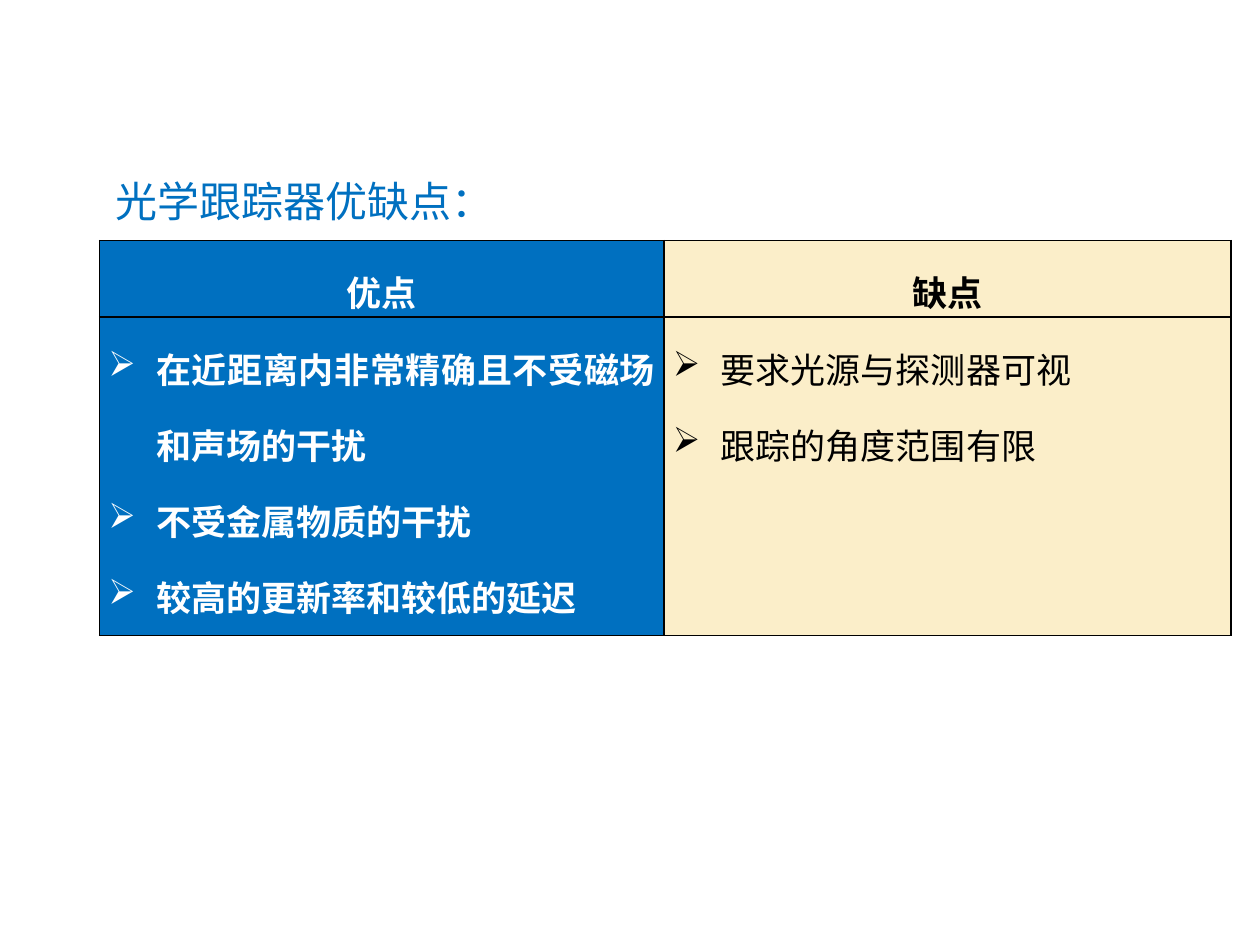
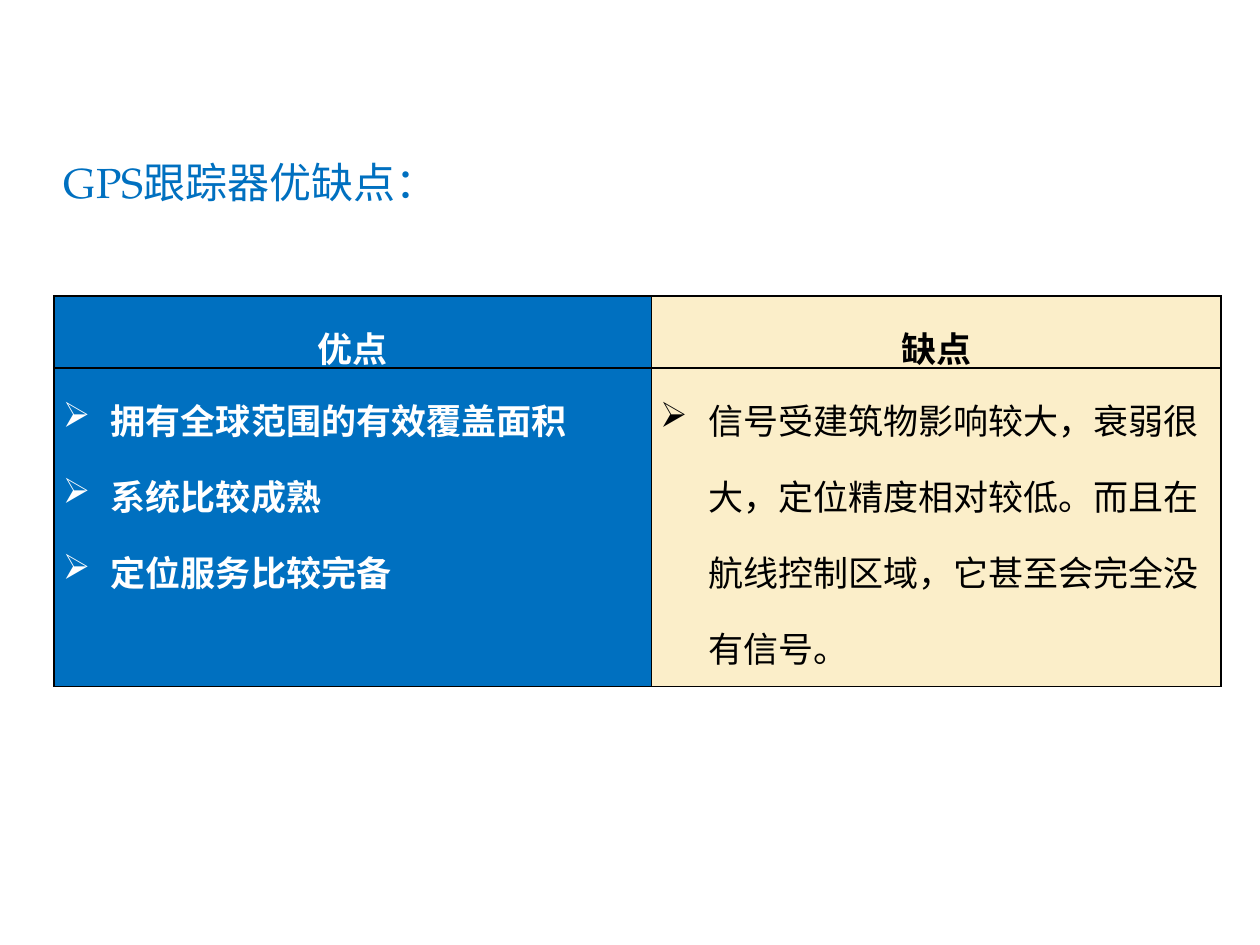
import pptx
import pptx.util
import pptx.dml.color
import pptx.enum.text
import pptx.oxml
from lxml import etree

Inches, Pt = pptx.util.Inches, pptx.util.Pt
ALIGN = pptx.enum.text.PP_ALIGN
NS = "http://schemas.openxmlformats.org/drawingml/2006/main"

# Content: title and table places, column widths, last column's alignment
HEADS = ["优点", "缺点"]
SLIDES = [
    {"title": "光学跟踪器优缺点：", "spot": (0.82, 1.34),
     "table": (0.79, 1.91), "cols": (4.48, 4.5),
     "aligns": (ALIGN.JUSTIFY, ALIGN.JUSTIFY),
     "lists": [["在近距离内非常精确且不受磁场和声场的干扰",
                "不受金属物质的干扰",
                "较高的更新率和较低的延迟"],
               ["要求光源与探测器可视",
                "跟踪的角度范围有限"]]},
    {"title": "GPS跟踪器优缺点：", "spot": (0.41, 1.19),
     "table": (0.43, 2.35), "cols": (4.74, 4.52),
     "aligns": (ALIGN.JUSTIFY, None),
     "lists": [["拥有全球范围的有效覆盖面积",
                "系统比较成熟",
                "定位服务比较完备"],
               ["信号受建筑物影响较大，衰弱很大，定位精度相对较低。"
                "而且在航线控制区域，它甚至会完全没有信号。"]]},
]

# Shared look
ROWS = (0.57, 2.53)
FILLS = ("0070C0", "FBEEC9")
INKS = ("FFFFFF", "000000")
FACE = "TeX Gyre Pagella"
TITLE = {"size": Pt(24), "name": FACE}
HEAD = {"size": Pt(20), "name": FACE, "bold": True}
BODIES = (HEAD, {**HEAD, "bold": False})
INSET = {"margin_left": Inches(0.07), "margin_right": Inches(0.07),
         "margin_top": 0, "margin_bottom": 0}


def color(code):
    return pptx.dml.color.RGBColor.from_string(code)


def apply(item, values):
    for key, value in values.items():
        setattr(item, key, value)


def write(para, text, style, ink):
    run = para.add_run()
    run.text = text
    apply(run.font, style)
    run.font.color.rgb = color(ink)


def bullet(para):
    props = para._p.get_or_add_pPr()
    props.set("marL", str(Inches(0.38)))
    props.set("indent", str(-Inches(0.38)))
    etree.SubElement(props, f"{{{NS}}}buChar").set("char", "➢")


def border(cell):
    props = cell._tc.get_or_add_tcPr()
    for side in ("lnL", "lnR", "lnT", "lnB"):
        props.append(pptx.oxml.parse_xml(
            f'<a:{side} xmlns:a="{NS}" w="{Pt(1)}"><a:solidFill>'
            f'<a:srgbClr val="000000"/></a:solidFill></a:{side}>'))


def fill_cell(cell, lines, col, style, align, marked):
    apply(cell, INSET)
    border(cell)
    cell.fill.solid()
    cell.fill.fore_color.rgb = color(FILLS[col])
    frame = cell.text_frame
    for i, line in enumerate(lines):
        para = frame.add_paragraph() if i else frame.paragraphs[0]
        apply(para, {"alignment": align, "line_spacing": 1.5})
        if marked:
            bullet(para)
        write(para, line, style, INKS[col])


def add_table(slide, data):
    size = (sum(data["cols"]), sum(ROWS))
    table = slide.shapes.add_table(
        2, 2, *map(Inches, data["table"] + size)).table
    for row, high in zip(table.rows, ROWS):
        row.height = Inches(high)
    for col, wide in enumerate(data["cols"]):
        table.columns[col].width = Inches(wide)
        fill_cell(table.cell(0, col), [HEADS[col]], col,
                  HEAD, ALIGN.CENTER, False)
        fill_cell(table.cell(1, col), data["lists"][col], col,
                  BODIES[col], data["aligns"][col], True)


def add_title(slide, data):
    box = slide.shapes.add_textbox(*map(Inches, data["spot"] + (3.23, 0.5)))
    apply(box.text_frame, {
        "word_wrap": False,
        "auto_size": pptx.enum.text.MSO_AUTO_SIZE.SHAPE_TO_FIT_TEXT})
    write(box.text_frame.paragraphs[0], data["title"], TITLE, FILLS[0])


def main():
    deck = pptx.Presentation()
    apply(deck, {"slide_width": Inches(10), "slide_height": Inches(7.5)})
    for data in SLIDES:
        slide = deck.slides.add_slide(deck.slide_layouts[6])
        add_table(slide, data)
        add_title(slide, data)
    deck.save("out.pptx")


if __name__ == "__main__":
    main()
